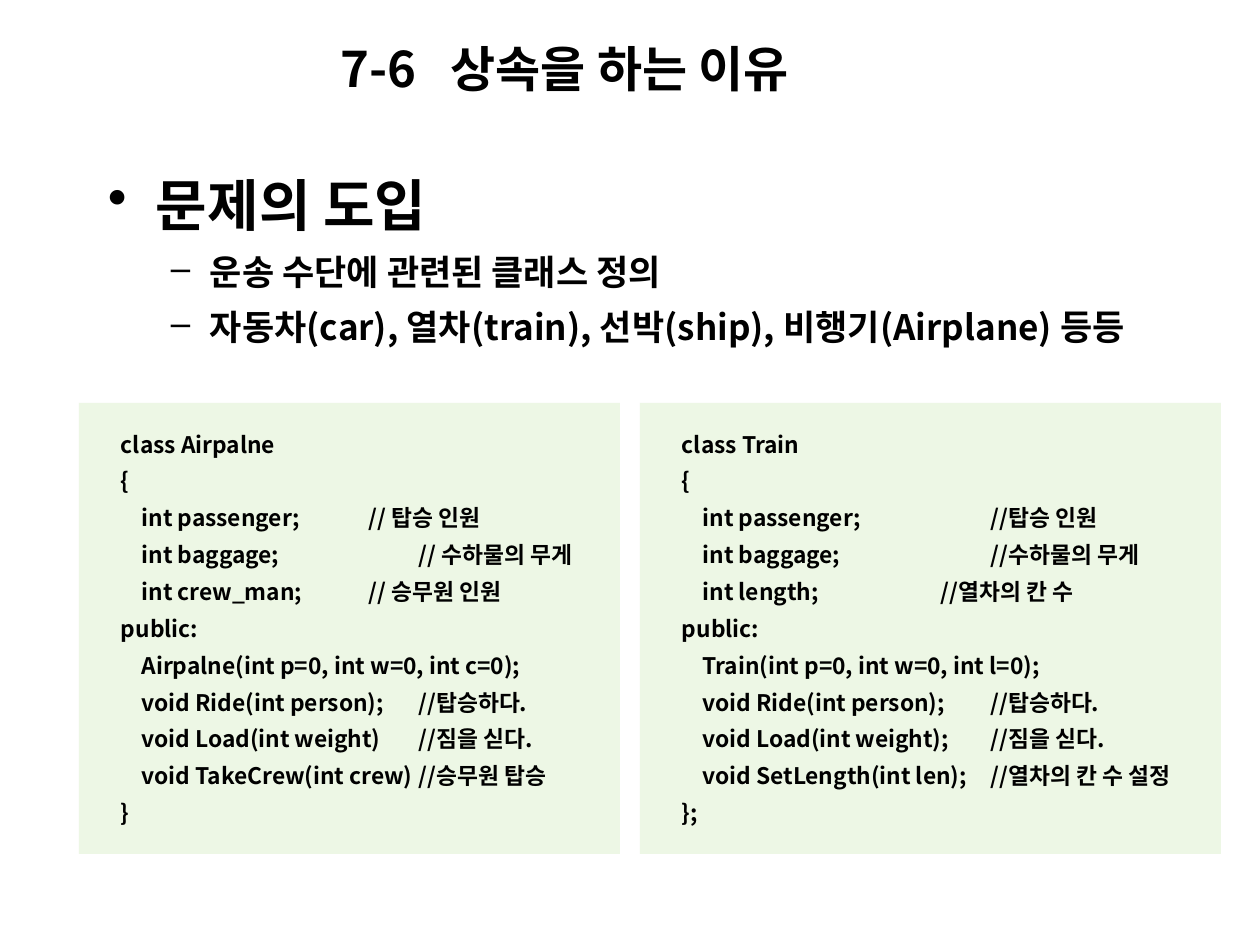
import dataclasses

import lxml.etree
import pptx
import pptx.dml.color
import pptx.enum.shapes
import pptx.enum.text
import pptx.oxml.ns
import pptx.util


@dataclasses.dataclass(frozen=True)
class Theme:
    font: str = "Noto Sans CJK KR"
    ink: str = "000000"
    panel: str = "EDF7E5"
    title: int = 28
    heading: int = 32
    item: int = 20
    code: int = 13


PX = pptx.util.Inches(1) / 126

TOPIC = [
    ("문제의 도입", "heading", "•", 48, 48, 0),
    ("운송 수단에 관련된 클래스 정의", "item", "–", 102, 39, 5),
    ("자동차(car), 열차(train), 선박(ship), 비행기(Airplane) 등등", "item", "–", 102, 39, 5),
]

AIRPLANE_CLASS = """class Airpalne
{
    int passenger;\t// 탑승 인원
    int baggage;\t\t// 수하물의 무게
    int crew_man;\t// 승무원 인원
public:
    Airpalne(int p=0, int w=0, int c=0);
    void Ride(int person);\t//탑승하다.
    void Load(int weight)\t//짐을 싣다.
    void TakeCrew(int crew)\t//승무원 탑승
}"""

TRAIN_CLASS = """class Train
{
    int passenger;\t\t//탑승 인원
    int baggage;\t\t//수하물의 무게
    int length;\t//열차의 칸 수
public:
    Train(int p=0, int w=0, int l=0);
    void Ride(int person);\t//탑승하다.
    void Load(int weight);\t//짐을 싣다.
    void SetLength(int len);\t//열차의 칸 수 설정
};"""


def px(length):
    return pptx.util.Emu(round(length * PX))


def assign(target, values):
    for name, value in values.items():
        setattr(target, name, value)


def add_element(parent, tag, **attributes):
    element = lxml.etree.SubElement(parent, pptx.oxml.ns.qn(tag))
    for name, value in attributes.items():
        element.set(name, str(value))
    return element


class SlideWriter:
    def __init__(self, slide, theme):
        self.slide = slide
        self.theme = theme

    def frame(self, owner, anchor, left=13, top=6, right=13, bottom=6):
        assign(owner.text_frame, {
            "word_wrap": True,
            "vertical_anchor": anchor,
            "margin_left": px(left),
            "margin_top": px(top),
            "margin_right": px(right),
            "margin_bottom": px(bottom),
        })
        return owner.text_frame

    def text_box(self, left, top, width, height, anchor):
        box = self.slide.shapes.add_textbox(px(left), px(top), px(width), px(height))
        return self.frame(box, anchor)

    def paragraph(self, frame, index, text, size, spacing=1.0, before=0,
                  bullet=None, indent=0, hanging=0, stops=()):
        paragraph = frame.add_paragraph() if index else frame.paragraphs[0]
        properties = paragraph._p.get_or_add_pPr()
        if bullet:
            properties.set("marL", str(px(indent)))
            properties.set("indent", str(-px(hanging)))
            color = add_element(properties, "a:buClr")
            add_element(color, "a:srgbClr", val=self.theme.ink)
            add_element(properties, "a:buChar", char=bullet)
        if stops:
            tabs = add_element(properties, "a:tabLst")
            for stop in stops:
                add_element(tabs, "a:tab", pos=px(stop), algn="l")
        assign(paragraph, {
            "alignment": pptx.enum.text.PP_ALIGN.LEFT,
            "line_spacing": spacing,
            "space_before": pptx.util.Pt(before),
        })
        run = paragraph.add_run()
        run.text = text
        assign(run.font, {
            "name": self.theme.font,
            "size": pptx.util.Pt(size),
            "bold": True,
        })
        run.font.color.rgb = pptx.dml.color.RGBColor.from_string(self.theme.ink)
        add_element(run._r.get_or_add_rPr(), "a:ea", typeface=self.theme.font)

    def title(self, text, left, top, width, height, stop):
        frame = self.text_box(left, top, width, height, pptx.enum.text.MSO_ANCHOR.MIDDLE)
        self.paragraph(frame, 0, text, self.theme.title, stops=[stop])

    def bullets(self, items, left, top, width, height):
        frame = self.text_box(left, top, width, height, pptx.enum.text.MSO_ANCHOR.TOP)
        for index, (text, level, bullet, indent, hanging, before) in enumerate(items):
            self.paragraph(frame, index, text, getattr(self.theme, level), 1.1,
                           before, bullet, indent, hanging)

    def code_panel(self, code, left, top, width, height, stops):
        panel = self.slide.shapes.add_shape(
            pptx.enum.shapes.MSO_SHAPE.RECTANGLE, px(left), px(top), px(width), px(height))
        panel.shadow.inherit = False
        panel.fill.solid()
        panel.fill.fore_color.rgb = pptx.dml.color.RGBColor.from_string(self.theme.panel)
        panel.line.fill.background()
        frame = self.frame(panel, pptx.enum.text.MSO_ANCHOR.MIDDLE, 42, 16, 13, 26)
        for index, line in enumerate(code.splitlines()):
            self.paragraph(frame, index, line, self.theme.code, 1.35, stops=stops)


def main():
    deck = pptx.Presentation()
    assign(deck, {"slide_width": px(1260), "slide_height": px(945)})
    writer = SlideWriter(deck.slides.add_slide(deck.slide_layouts[6]), Theme())
    writer.title("7-6\t상속을 하는 이유", 328, 32, 536, 72, 110)
    writer.bullets(TOPIC, 95, 158, 1071, 262)
    writer.code_panel(AIRPLANE_CLASS, 79, 403, 541, 451, (248, 298))
    writer.code_panel(TRAIN_CLASS, 640, 403, 581, 451, (259, 309))
    deck.save("out.pptx")


if __name__ == "__main__":
    main()
